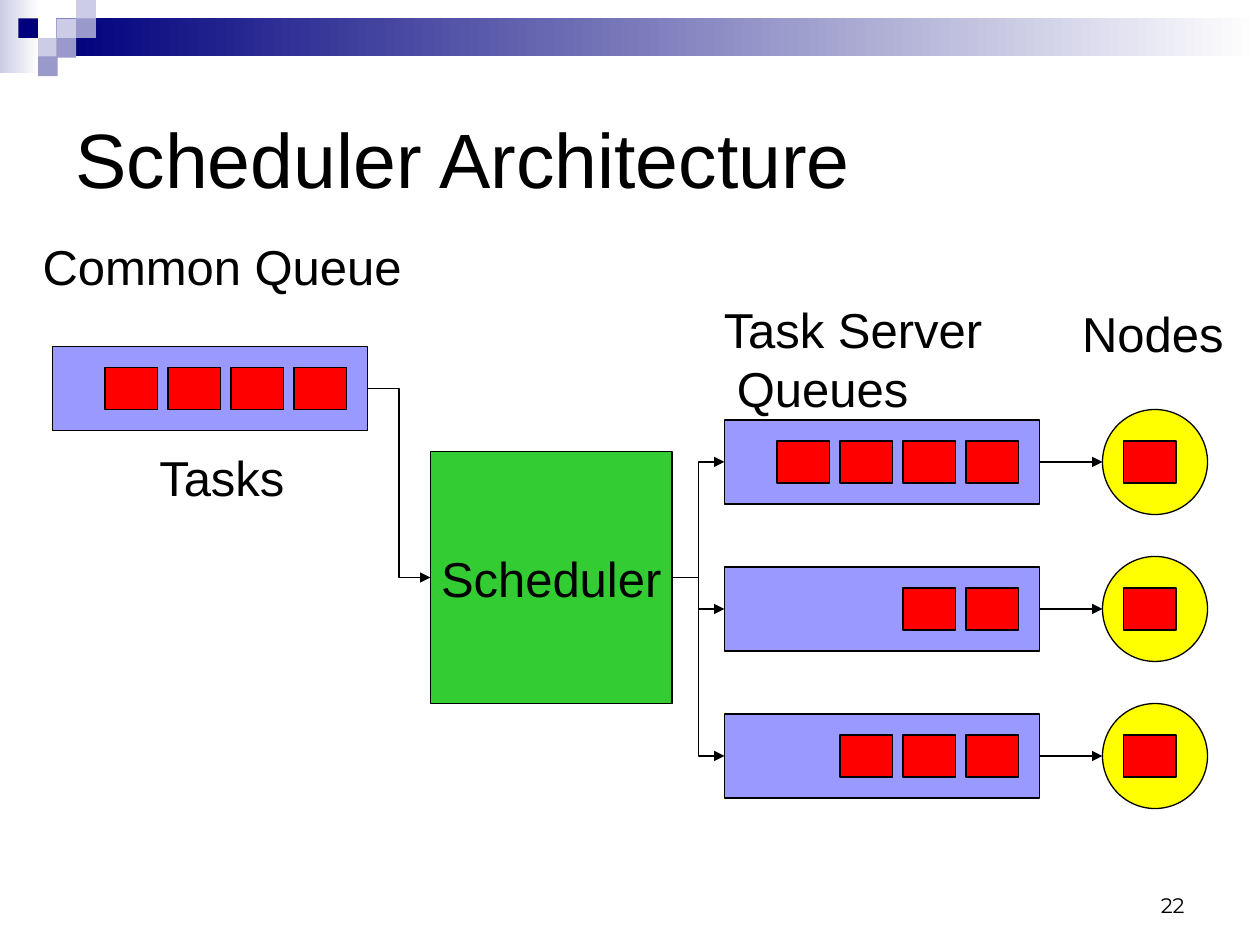
from lxml import etree
from pptx import Presentation
from pptx.dml.color import RGBColor
from pptx.enum.shapes import MSO_CONNECTOR, MSO_SHAPE
from pptx.enum.text import MSO_ANCHOR, PP_ALIGN
from pptx.oxml.ns import qn
from pptx.util import Pt

RECT, OVAL = MSO_SHAPE.RECTANGLE, MSO_SHAPE.OVAL
ELBOW, STRAIGHT = MSO_CONNECTOR.ELBOW, MSO_CONNECTOR.STRAIGHT
TOP, MIDDLE, BOTTOM = MSO_ANCHOR.TOP, MSO_ANCHOR.MIDDLE, MSO_ANCHOR.BOTTOM
LEFT, CENTER, RIGHT = PP_ALIGN.LEFT, PP_ALIGN.CENTER, PP_ALIGN.RIGHT
SIDE_LEFT, SIDE_RIGHT = 1, 3

EMU_PER_PX = 9525  # 96 px to the inch
COLORS = {
    "black": "000000", "white": "FFFFFF", "navy": "00007D",
    "mid": "9999CC", "pale": "CCCCE6", "queue": "9999FF",
    "scheduler": "33CC33", "task": "FF0000", "node": "FFFF00",
}
QUEUE_W, QUEUE_H = 240, 64
TASK_W, TASK_H, TASK_STEP, INSET = 40, 32, 48, 16
NODE_SIZE = 80
LINE_FACTOR = 1.21


def px(n):
    return n * EMU_PER_PX


def color(name):
    return RGBColor.from_string(COLORS[name])


def add_box(s, kind, x, y, w, h, fill, outlined=True):
    sp = s.shapes.add_shape(kind, px(x), px(y), px(w), px(h))
    sp.shadow.inherit = False
    sp.fill.solid()
    sp.fill.fore_color.rgb = color(fill)
    if outlined:
        sp.line.color.rgb = color("black")
        sp.line.width = Pt(0.75)
    else:
        sp.line.fill.background()
    return sp


def add_fade(s, x, y, w, h, start):
    sp = add_box(s, RECT, x, y, w, h, start, outlined=False)
    sp.fill.gradient()
    sp.fill.gradient_angle = 0
    for stop, name in zip(sp.fill.gradient_stops, (start, "white")):
        stop.color.rgb = color(name)


def write(sp, text, size=28, align=LEFT, anchor=TOP, wrap=False, font="Arial"):
    tf = sp.text_frame
    tf.text = text
    tf.word_wrap = wrap
    tf.vertical_anchor = anchor
    for p in tf.paragraphs:
        p.alignment = align
        if font == "Arial":
            p.line_spacing = Pt(round(size * LINE_FACTOR))
        for r in p.runs:
            r.font.size = Pt(size)
            r.font.name = font
            r.font.color.rgb = color("black")
    return tf


def add_text(s, x, y, w, h, text, **style):
    sp = s.shapes.add_textbox(px(x), px(y), px(w), px(h))
    return write(sp, text, **style)


def add_task(s, x, y):
    add_box(s, RECT, x, y, TASK_W, TASK_H, "task")


def add_queue(s, x, y, count):
    queue = add_box(s, RECT, x, y, QUEUE_W, QUEUE_H, "queue")
    last = x + QUEUE_W - INSET - TASK_W
    for i in range(count):
        add_task(s, last - i * TASK_STEP, y + INSET)
    return queue


def add_arrow(s, kind, start, end):
    c = s.shapes.add_connector(
        kind, start.left + start.width, start.top + start.height // 2,
        end.left, end.top + end.height // 2)
    c.begin_connect(start, SIDE_RIGHT)
    if kind == ELBOW:
        c.end_connect(end, SIDE_LEFT)
    c.line.color.rgb = color("black")
    c.line.width = Pt(0.75)
    etree.SubElement(c.line._get_or_add_ln(), qn("a:tailEnd"), type="triangle")
    etree.SubElement(c._element.spPr, qn("a:effectLst"))


def add_header(s):
    add_fade(s, 0, 0, 30, 56, "pale")
    add_fade(s, 43, 14, 917, 29, "navy")
    squares = [(3, 1, "pale"), (4, 0, "pale"), (4, 1, "mid"), (2, 2, "pale"),
               (1, 1, "navy"), (3, 2, "mid"), (2, 3, "mid")]
    for col, row, fill in squares:
        add_box(s, RECT, round(col * 14.4), round(row * 14.4), 15, 15, fill,
                outlined=False)


def main():
    prs = Presentation()
    prs.slide_width, prs.slide_height = px(960), px(720)
    s = prs.slides.add_slide(prs.slide_layouts[6])

    # Header and title
    add_header(s)
    add_text(s, 48, 48, 864, 144, "Scheduler Architecture", size=44,
             anchor=MIDDLE, wrap=True)

    # Common queue feeding the scheduler
    common = add_queue(s, 40, 264, 4)
    scheduler = add_box(s, RECT, 328, 344, 184, 192, "scheduler")
    write(scheduler, "Scheduler", align=CENTER, anchor=MIDDLE)
    add_arrow(s, ELBOW, common, scheduler)

    # Task server queues, each with its node
    for row, count in enumerate((4, 2, 3)):
        y = 320 + row * 112
        queue = add_queue(s, 552, y, count)
        node = add_box(s, OVAL, 840, y - 8, NODE_SIZE, NODE_SIZE, "node")
        add_arrow(s, ELBOW, scheduler, queue)
        add_arrow(s, STRAIGHT, queue, node)
        add_task(s, 840 + INSET, y + INSET)

    # Labels
    add_text(s, 23, 175, 293, 55, "Common Queue")
    add_text(s, 815, 226, 127, 55, "Nodes")
    add_text(s, 112, 336, 118, 55, "Tasks")
    tf = add_text(s, 542, 223, 220, 100, "Task Server\nQueues")
    tf.paragraphs[1]._p.get_or_add_pPr().set("marL", str(px(10)))

    # Slide number
    add_text(s, 688, 656, 224, 48, "22", size=12, align=RIGHT, anchor=BOTTOM,
             wrap=True, font="Montserrat")

    prs.save("out.pptx")


if __name__ == "__main__":
    main()
